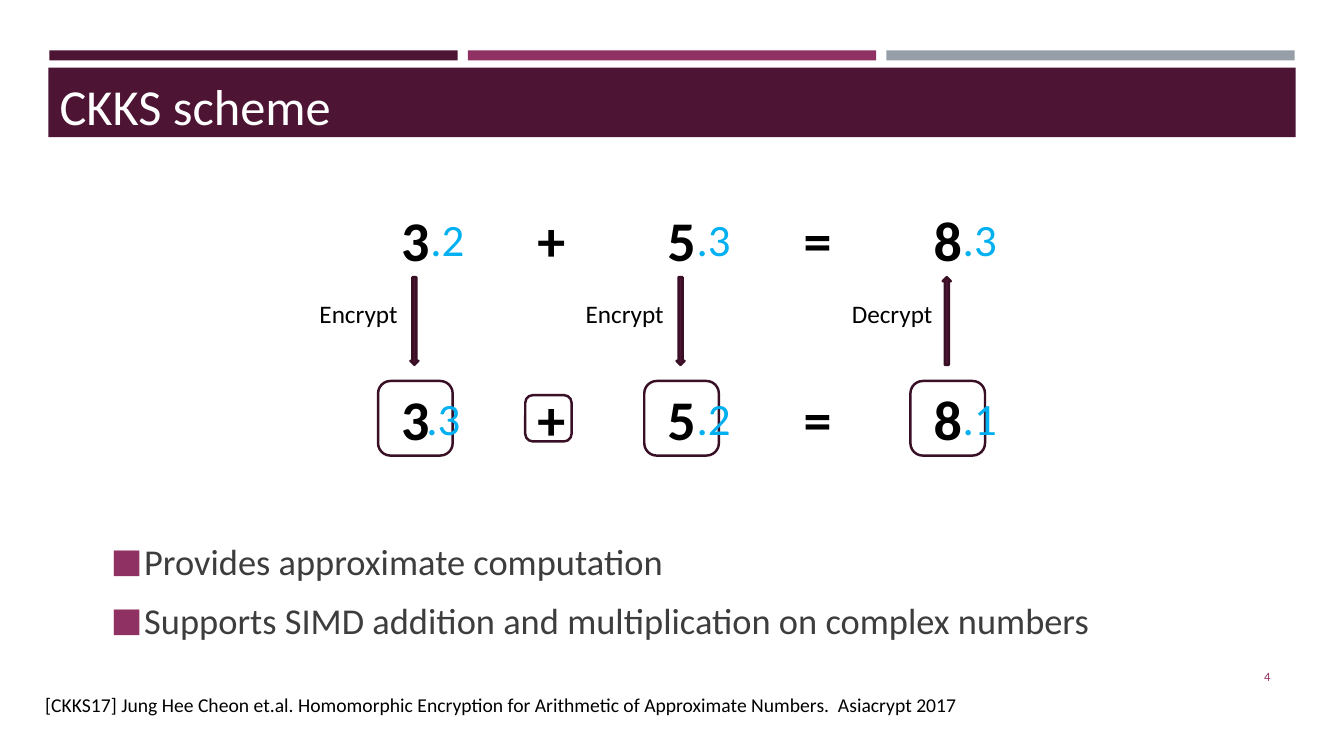
from lxml import etree
from pptx import Presentation
from pptx import util as u
from pptx.dml.color import RGBColor
from pptx.enum import shapes, text
from pptx.oxml import ns

Inches, Pt = u.Inches, u.Pt
PLUM = RGBColor(0x4D, 0x14, 0x34)
DARK_PLUM = RGBColor(0x39, 0x0F, 0x26)
MAGENTA = RGBColor(0x90, 0x31, 0x63)
GRAY = RGBColor(0x96, 0x9F, 0xA7)
CHARCOAL = RGBColor(0x3D, 0x3D, 0x3D)
BLUE = RGBColor(0x00, 0xB0, 0xF0)
BLACK = RGBColor(0, 0, 0)
WHITE = RGBColor(0xFF, 0xFF, 0xFF)

TITLE = "CKKS scheme"
BULLETS = [
    "Provides approximate computation",
    "Supports SIMD addition and multiplication on complex numbers",
]
CITATION = ("[CKKS17] Jung Hee Cheon et.al. Homomorphic Encryption for Arithmetic "
            "of Approximate Numbers.  Asiacrypt 2017")
PAGE_NUMBER = "4"
DIGITS = ["3", "5", "8"]
OPERATORS = ["+", "="]
STEPS = [("Encrypt", 0), ("Encrypt", 0), ("Decrypt", 180)]
ROWS = [
    {"top": 2.0, "fractions": [".2", ".3", ".3"], "shifts": [0.42, 0.42, 0.42], "framed": ""},
    {"top": 3.78, "fractions": [".3", ".2", ".1"], "shifts": [0.38, 0.42, 0.42], "framed": "358+"},
]
BAR_COLORS = [PLUM, MAGENTA, GRAY]

COLUMN_LEFT, COLUMN_PITCH = 3.75, 2.64
DIGIT_SIZE, OPERATOR_SIZE = 0.74, 0.46
BAR_LEFT, BAR_WIDTH, BAR_PITCH = 0.49, 4.05, 4.15


def place(shape, left, top, width, height):
    shape.left, shape.top = Inches(left), Inches(top)
    shape.width, shape.height = Inches(width), Inches(height)


def write(paragraph, content, size, color, bold=False):
    run = paragraph.add_run()
    run.text = content
    run.font.name = "Calibri"
    run.font.size = Pt(size)
    run.font.bold = bold
    run.font.color.rgb = color


def add_shape(slide, kind, box, fill=None, line=None):
    shape = slide.shapes.add_shape(kind, *map(Inches, box))
    shape.shadow.inherit = False
    if fill is None:
        shape.fill.background()
    else:
        shape.fill.solid()
        shape.fill.fore_color.rgb = fill
    if line is None:
        shape.line.fill.background()
    else:
        shape.line.color.rgb = line
        shape.line.width = Pt(1.75)
    return shape


def add_label(slide, box, content, size, color):
    label = slide.shapes.add_textbox(*map(Inches, box))
    label.text_frame.word_wrap = True
    write(label.text_frame.paragraphs[0], content, size, color)
    return label


def add_symbol(slide, symbol, left, top, size, framed):
    shape = add_shape(slide, shapes.MSO_SHAPE.ROUNDED_RECTANGLE, (left, top, size, size),
                      line=DARK_PLUM if framed else None)
    shape.text_frame.vertical_anchor = text.MSO_ANCHOR.MIDDLE
    paragraph = shape.text_frame.paragraphs[0]
    paragraph.alignment = text.PP_ALIGN.CENTER
    write(paragraph, symbol, 40, BLACK, bold=True)


def add_bullet(paragraph):
    properties = paragraph._p.get_or_add_pPr()
    properties.set("marL", str(Inches(0.69)))
    properties.set("indent", str(Inches(-0.33)))
    color = etree.SubElement(properties, ns.qn("a:buClr"))
    etree.SubElement(color, ns.qn("a:srgbClr"), val=str(MAGENTA))
    etree.SubElement(properties, ns.qn("a:buSzPct"), val="92000")
    etree.SubElement(properties, ns.qn("a:buFont"), typeface="Calibri")
    etree.SubElement(properties, ns.qn("a:buChar"), char="■")


def add_header(slide):
    bars = [((BAR_LEFT + i * BAR_PITCH, 0.5, BAR_WIDTH, 0.1), color)
            for i, color in enumerate(BAR_COLORS)]
    for box, color in bars + [((0.48, 0.67, 12.37, 0.69), PLUM)]:
        band = add_shape(slide, shapes.MSO_SHAPE.RECTANGLE, box, fill=color)
        band.element.getparent().insert(2, band.element)
    title = slide.shapes.title
    place(title, 0.49, 0.69, 12.35, 0.71)
    title.text_frame.auto_size = text.MSO_AUTO_SIZE.NONE
    title.text_frame.vertical_anchor = text.MSO_ANCHOR.TOP
    paragraph = title.text_frame.paragraphs[0]
    paragraph.alignment = text.PP_ALIGN.LEFT
    write(paragraph, TITLE, 36, WHITE)


def add_body(slide):
    body = slide.placeholders[1]
    place(body, 0.64, 4.91, 12.06, 1.9)
    frame = body.text_frame
    frame.auto_size = text.MSO_AUTO_SIZE.NONE
    frame.vertical_anchor = text.MSO_ANCHOR.MIDDLE
    for i, content in enumerate(BULLETS):
        paragraph = frame.paragraphs[0] if i == 0 else frame.add_paragraph()
        paragraph.level = 1
        paragraph.space_before = Pt(5 if i else 0)
        paragraph.space_after = Pt(6)
        add_bullet(paragraph)
        write(paragraph, content, 26, CHARCOAL)


def add_equations(slide):
    columns = [COLUMN_LEFT + i * COLUMN_PITCH for i in range(len(DIGITS))]
    for row in ROWS:
        top, framed = row["top"], row["framed"]
        for left, digit in zip(columns, DIGITS):
            add_symbol(slide, digit, left, top, DIGIT_SIZE, digit in framed)
        for left, operator in zip(columns, OPERATORS):
            add_symbol(slide, operator, left + 1.46, top + 0.14, OPERATOR_SIZE,
                       operator in framed)
        for left, fraction, shift in zip(columns, row["fractions"], row["shifts"]):
            add_label(slide, (left + shift, top + 0.05, 0.85, 0.64), fraction, 32, BLUE)
    for left, (step, rotation) in zip(columns, STEPS):
        arrow = add_shape(slide, shapes.MSO_SHAPE.DOWN_ARROW, (left + 0.32, 2.75, 0.08, 0.87),
                          fill=PLUM, line=DARK_PLUM)
        arrow.rotation = rotation
        add_label(slide, (left - 0.68, 2.91, 1.08, 0.4), step, 18, BLACK)


def main():
    presentation = Presentation()
    presentation.slide_width = Inches(13.33)
    presentation.slide_height = Inches(7.5)
    slide = presentation.slides.add_slide(presentation.slide_layouts[1])
    add_header(slide)
    add_body(slide)
    add_equations(slide)
    add_label(slide, (0.35, 6.83, 12.35, 0.34), CITATION, 14, BLACK)
    number = add_label(slide, (11.55, 6.51, 1.15, 0.4), PAGE_NUMBER, 9, MAGENTA)
    number.text_frame.vertical_anchor = text.MSO_ANCHOR.MIDDLE
    number.text_frame.paragraphs[0].alignment = text.PP_ALIGN.RIGHT
    presentation.save("out.pptx")


if __name__ == "__main__":
    main()
